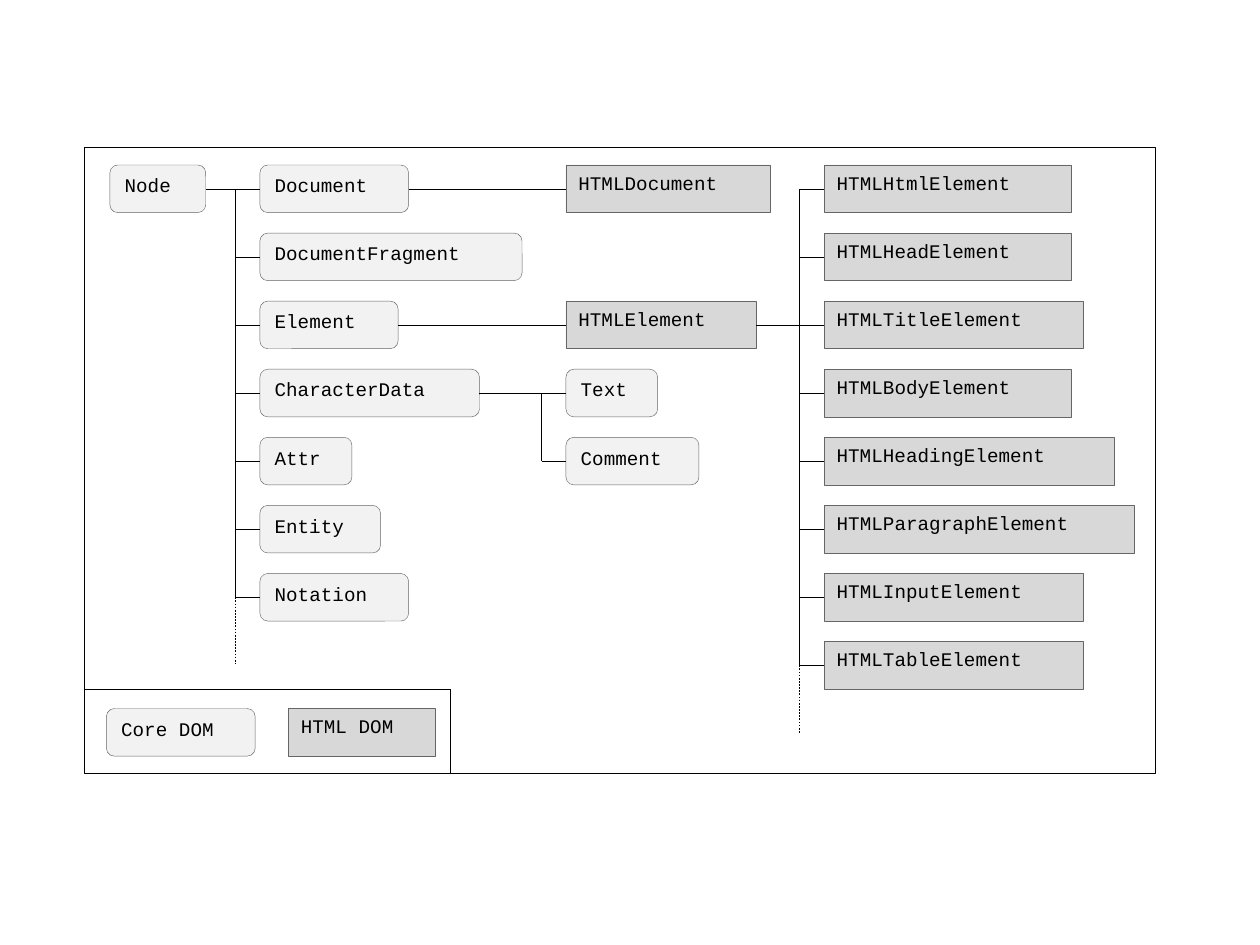
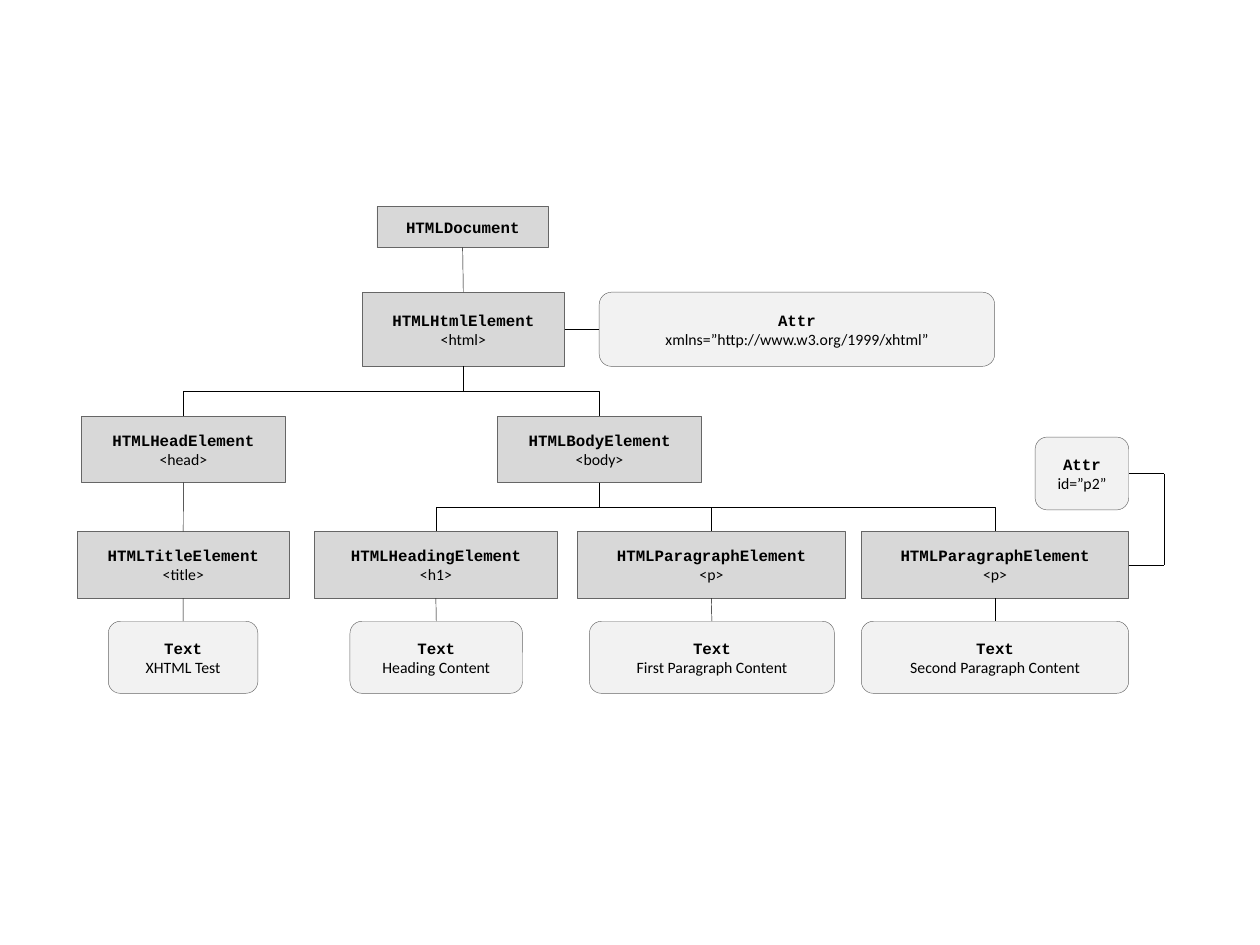
from itertools import pairwise

from pptx import Presentation
from pptx.dml.color import RGBColor
from pptx.enum.dml import MSO_LINE
from pptx.enum.shapes import MSO_CONNECTOR, MSO_SHAPE
from pptx.enum.text import MSO_ANCHOR, PP_ALIGN
from pptx.oxml.ns import qn
from pptx.oxml.xmlchemy import OxmlElement
from pptx.util import Pt

BLACK = RGBColor(0x00, 0x00, 0x00)
BORDER = RGBColor(0x66, 0x66, 0x66)
CORE_FILL = RGBColor(0xF2, 0xF2, 0xF2)
HTML_FILL = RGBColor(0xD8, 0xD8, 0xD8)
CODE_FONT, BODY_FONT = "Courier New", "Calibri"
CORE, HTML = "core", "html"
LOOKS = {CORE: (MSO_SHAPE.ROUNDED_RECTANGLE, CORE_FILL),
         HTML: (MSO_SHAPE.RECTANGLE, HTML_FILL)}
TOP, LEFT, BOTTOM, RIGHT = range(4)


def write(p, text, font=CODE_FONT, size=11, bold=False, align=PP_ALIGN.LEFT, after=0):
    """Put one formatted run of text into paragraph p."""
    p.alignment = align
    p.space_after = Pt(after)
    r = p.add_run()
    r.text = text
    r.font.name, r.font.size, r.font.bold = font, Pt(size), bold
    r.font.color.rgb = BLACK


def mid_x(sp):
    return sp.left.pt + sp.width.pt / 2


def mid_y(sp):
    return sp.top.pt + sp.height.pt / 2


class Diagram:
    """Shared style of the class diagrams and the slide being drawn."""

    def __init__(self, prs):
        self.prs = prs
        self.shapes = None

    def new_slide(self):
        self.shapes = self.prs.slides.add_slide(self.prs.slide_layouts[6]).shapes

    def shape(self, preset, x, y, w, h, fill=None, border=BLACK):
        sp = self.shapes.add_shape(preset, Pt(x), Pt(y), Pt(w), Pt(h))
        sp.shadow.inherit = False
        if fill is None:
            sp.fill.background()
        else:
            sp.fill.solid()
            sp.fill.fore_color.rgb = fill
        sp.line.color.rgb = border
        sp.line.width = Pt(0.25)
        return sp

    def label_box(self, kind, text, x, y, w, h=27.2):
        """Box with a class name at its top left."""
        preset, fill = LOOKS[kind]
        sp = self.shape(preset, x, y, w, h, fill, BORDER)
        tf = sp.text_frame
        tf.word_wrap = True
        tf.vertical_anchor = MSO_ANCHOR.TOP
        write(tf.paragraphs[0], text, after=10)
        return sp

    def node_box(self, kind, name, detail, x, y, w, h):
        """Box with a centred bold class name and a line of content."""
        preset, fill = LOOKS[kind]
        sp = self.shape(preset, x, y, w, h, fill, BORDER)
        tf = sp.text_frame
        tf.word_wrap = True
        tf.vertical_anchor = MSO_ANCHOR.MIDDLE
        tf.margin_left = tf.margin_right = 0
        write(tf.paragraphs[0], name, size=9, bold=True, align=PP_ALIGN.CENTER)
        if detail:
            write(tf.add_paragraph(), detail, font=BODY_FONT, size=9,
                  align=PP_ALIGN.CENTER)
        return sp

    def line(self, x1, y1, x2, y2, kind=MSO_CONNECTOR.STRAIGHT, dashed=False):
        c = self.shapes.add_connector(kind, Pt(x1), Pt(y1), Pt(x2), Pt(y2))
        c.line.color.rgb = BLACK
        c.line.width = Pt(0.25)
        if dashed:
            c.line.dash_style = MSO_LINE.DASH
        c._element.spPr.append(OxmlElement("a:effectLst"))
        return c

    def link(self, a, b, from_side=RIGHT, to_side=LEFT):
        """Straight connector joined to both boxes."""
        c = self.line(mid_x(a), mid_y(a), mid_x(b), mid_y(b))
        c.begin_connect(a, from_side)
        c.end_connect(b, to_side)

    def elbow_down(self, parent, child):
        """Elbow from the parent's bottom to the child's top, turned a quarter."""
        x1, y1 = mid_x(parent), parent.top.pt + parent.height.pt
        x2, y2 = mid_x(child), child.top.pt
        cx, cy = (x1 + x2) / 2, (y1 + y2) / 2
        side = 1 if x2 > x1 else -1
        half_w, half_h = abs(x2 - x1) / 2, side * (y2 - y1) / 2
        c = self.line(cx + half_h, cy - half_w, cx - half_h, cy + half_w,
                      MSO_CONNECTOR.ELBOW)
        angle = 180 + 90 * side
        c._element.spPr.find(qn("a:xfrm")).set("rot", str(angle * 60000))

    def subclasses(self, parent, straight_child, children, trunk_x, more=False):
        """Trunk with a branch to each child; a dashed end means more follow."""
        self.link(parent, straight_child)
        end = mid_y(children[-1])
        self.line(trunk_x, mid_y(children[0]), trunk_x, end)
        for child in children:
            if child is not straight_child:
                y = mid_y(child)
                self.line(trunk_x, y, child.left.pt, y).end_connect(child, LEFT)
        if more:
            self.line(trunk_x, end, trunk_x, end + 38.4, dashed=True)


def class_hierarchy(d):
    d.new_slide()
    d.shape(MSO_SHAPE.RECTANGLE, 48.2, 84.3, 612, 357.7)

    def row(i):
        return 94.3 + 38.9 * i

    def column(kind, x, first_row, items):
        return [d.label_box(kind, text, x, row(i), w)
                for i, (text, w) in enumerate(items, first_row)]

    # Boxes, column by column
    node = d.label_box(CORE, "Node", 62.8, row(0), 54.8)
    core = column(CORE, 148.5, 0, [
        ("Document", 85), ("DocumentFragment", 149.8), ("Element", 79),
        ("CharacterData", 125.5), ("Attr", 52.6), ("Entity", 69), ("Notation", 85)])
    html_document = d.label_box(HTML, "HTMLDocument", 323.4, row(0), 116.8)
    html_element = d.label_box(HTML, "HTMLElement", 323.4, row(2), 108.8)
    character_data = column(CORE, 323.4, 3, [("Text", 52.4), ("Comment", 76)])
    elements = column(HTML, 471, 0, [
        ("HTMLHtmlElement", 141.3), ("HTMLHeadElement", 141.3),
        ("HTMLTitleElement", 148), ("HTMLBodyElement", 141.3),
        ("HTMLHeadingElement", 166), ("HTMLParagraphElement", 177.2),
        ("HTMLInputElement", 148), ("HTMLTableElement", 148)])

    # Inheritance lines
    d.subclasses(node, core[0], core, 134.5, more=True)
    d.link(core[0], html_document)
    d.link(core[2], html_element)
    d.subclasses(core[3], character_data[0], character_data, 309.5)
    d.subclasses(html_element, elements[2], elements, 457, more=True)

    # Legend
    d.line(48.2, 393.9, 257.4, 393.9)
    d.line(257.4, 393.9, 257.4, 442)
    d.label_box(CORE, "Core DOM", 60.8, 404.9, 85)
    d.label_box(HTML, "HTML DOM", 164.8, 404.9, 83.8)


def document_tree(d):
    d.new_slide()

    # Document, root and its attribute
    document = d.node_box(HTML, "HTMLDocument", None, 215.4, 118, 98, 23.5)
    root = d.node_box(HTML, "HTMLHtmlElement", "<html>", 206.9, 167, 115.7, 42.4)
    xmlns = d.node_box(CORE, "Attr", "xmlns=”http://www.w3.org/1999/xhtml”",
                       342.4, 167, 226, 42.4)
    d.link(document, root, BOTTOM, TOP)
    d.link(root, xmlns)

    # Head and body
    head, body = [d.node_box(HTML, name, tag, x, 237.9, 116.8, 37.9)
                  for name, tag, x in [("HTMLHeadElement", "<head>", 46.4),
                                       ("HTMLBodyElement", "<body>", 284.2)]]
    for child in (head, body):
        d.elbow_down(root, child)

    # Elements, each above its text node
    leaves = []
    for name, tag, x, w, content, text_x, text_w in [
            ("HTMLTitleElement", "<title>", 44.2, 121, "XHTML Test", 61.9, 85.5),
            ("HTMLHeadingElement", "<h1>", 179.5, 139.2, "Heading Content", 200, 98.6),
            ("HTMLParagraphElement", "<p>", 330, 153,
             "First Paragraph Content", 336.8, 140),
            ("HTMLParagraphElement", "<p>", 492.2, 152.8,
             "Second Paragraph Content", 492.2, 152.8)]:
        leaf = d.node_box(HTML, name, tag, x, 303.7, w, 38.3)
        text = d.node_box(CORE, "Text", content, text_x, 355, text_w, 41.2)
        d.link(leaf, text, BOTTOM, TOP)
        leaves.append(leaf)
    d.link(head, leaves[0], BOTTOM, TOP)
    for leaf in leaves[1:]:
        d.elbow_down(body, leaf)

    # Attribute of the second paragraph, joined around the right side
    paragraph = leaves[-1]
    attr = d.node_box(CORE, "Attr", "id=”p2”", 591.5, 249.8, 53.5, 41.6)
    edge, bend_x = 645, 665.3
    corners = [(edge, mid_y(paragraph)), (bend_x, mid_y(paragraph)),
               (bend_x, mid_y(attr)), (edge, mid_y(attr))]
    parts = [d.line(*a, *b) for a, b in pairwise(corners)]
    parts[0].begin_connect(paragraph, RIGHT)
    parts[-1].end_connect(attr, RIGHT)


def main():
    prs = Presentation()
    prs.slide_width, prs.slide_height = Pt(720), Pt(540)
    d = Diagram(prs)
    class_hierarchy(d)
    document_tree(d)
    prs.save("out.pptx")


if __name__ == "__main__":
    main()
